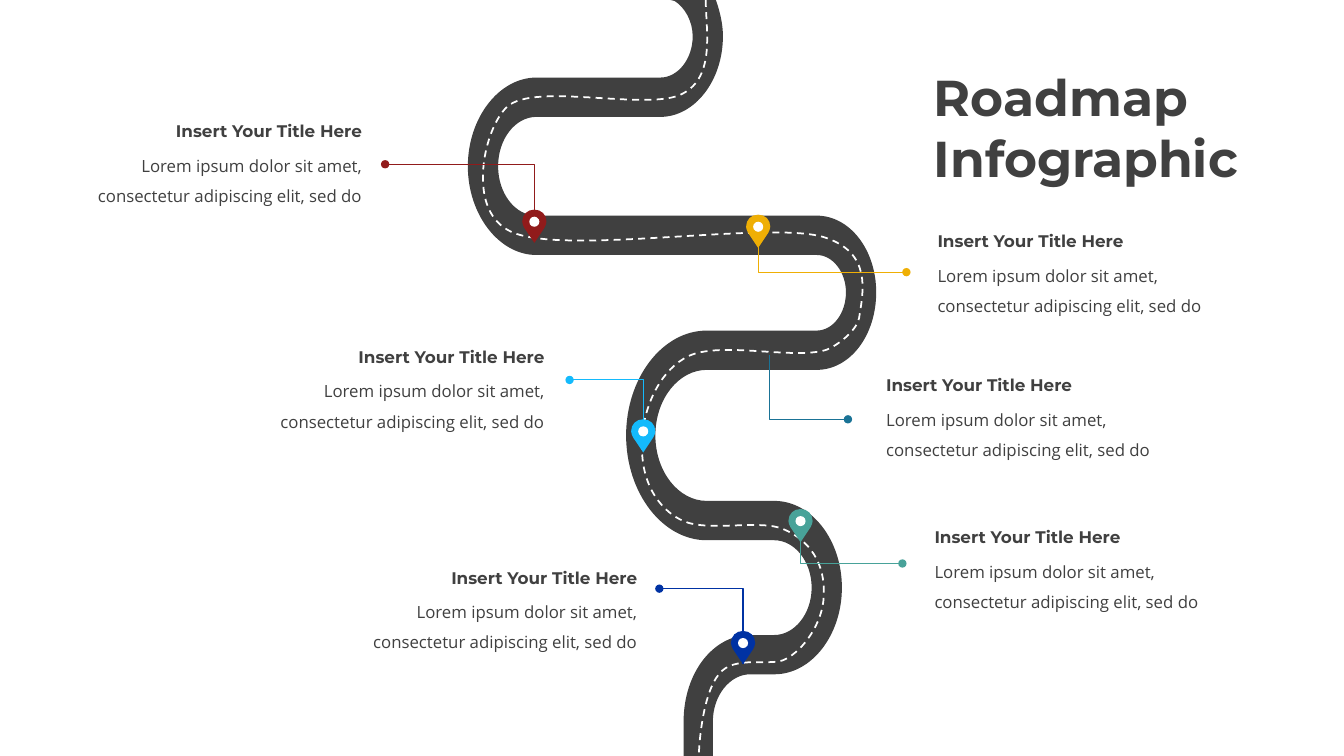
from lxml import etree
from pptx import Presentation
from pptx.dml.color import RGBColor
from pptx.enum.dml import MSO_LINE
from pptx.enum.shapes import MSO_CONNECTOR, MSO_SHAPE
from pptx.enum.text import MSO_ANCHOR, MSO_AUTO_SIZE, PP_ALIGN
from pptx.oxml.ns import qn
from pptx.util import Inches, Pt

ELBOW, OVAL = MSO_CONNECTOR.ELBOW, MSO_SHAPE.OVAL
LEFT, RIGHT = PP_ALIGN.LEFT, PP_ALIGN.RIGHT
ASPHALT = RGBColor(0x40, 0x40, 0x40)
WHITE = RGBColor(0xFF, 0xFF, 0xFF)
NAVY = RGBColor(0x00, 0x32, 0xA3)
TEAL = RGBColor(0x48, 0xA2, 0x99)
PETROL = RGBColor(0x1A, 0x73, 0x96)
SKY = RGBColor(0x14, 0xBA, 0xFC)
AMBER = RGBColor(0xEF, 0xAF, 0x05)
MAROON = RGBColor(0x91, 0x1B, 0x1B)

HEADING = "Insert Your Title Here"
BODY = "Lorem ipsum dolor sit amet, consectetur adipiscing elit, sed do"

# Outlines in inches: a pair is a straight stretch, six numbers a cubic curve
ROAD = [
    (6.65, 0), (7.1, 0), (7.12, 0.06),
    (7.15, 0.16, 7.17, 0.26, 7.17, 0.36), (7.17, 0.8, 6.89, 1.16, 6.55, 1.16),
    (5.32, 1.16),
    (5.11, 1.16, 4.94, 1.38, 4.94, 1.65), (4.94, 1.92, 5.11, 2.14, 5.32, 2.14),
    (8.1, 2.14),
    (8.43, 2.14, 8.69, 2.48, 8.69, 2.9), (8.69, 3.33, 8.43, 3.67, 8.1, 3.67),
    (7.01, 3.67),
    (6.73, 3.67, 6.5, 3.96, 6.5, 4.32), (6.5, 4.68, 6.73, 4.97, 7.01, 4.97),
    (7.68, 4.97),
    (8.05, 4.97, 8.35, 5.36, 8.35, 5.83), (8.35, 6.3, 8.05, 6.69, 7.68, 6.69),
    (7.44, 6.69), (7.24, 6.69, 7.07, 6.9, 7.07, 7.16),
    (7.07, 7.5), (6.78, 7.5), (6.78, 7.16),
    (6.78, 6.68, 7.07, 6.3, 7.44, 6.3), (7.68, 6.3),
    (7.88, 6.3, 8.05, 6.09, 8.05, 5.83), (8.05, 5.57, 7.88, 5.36, 7.68, 5.36),
    (7.01, 5.36),
    (6.57, 5.36, 6.21, 4.89, 6.21, 4.32), (6.21, 3.75, 6.57, 3.28, 7.01, 3.28),
    (8.1, 3.28),
    (8.26, 3.28, 8.39, 3.11, 8.39, 2.9), (8.39, 2.7, 8.26, 2.53, 8.1, 2.53),
    (5.32, 2.53),
    (4.95, 2.53, 4.64, 2.13, 4.64, 1.65), (4.64, 1.17, 4.95, 0.77, 5.32, 0.77),
    (6.55, 0.77),
    (6.72, 0.77, 6.87, 0.59, 6.87, 0.36), (6.87, 0.21, 6.79, 0.07, 6.69, 0.01),
]
CENTRE_LINE = [
    (7, 0),
    (7, 0.29, 7.1, 0.76, 6.77, 0.93), (6.44, 1.11, 5.3, 0.81, 5.03, 1.06),
    (4.9, 1.18, 4.79, 1.48, 4.79, 1.76), (4.79, 1.99, 4.86, 2.2, 5.07, 2.3),
    (5.59, 2.54, 7.59, 2.19, 8.16, 2.35),
    (8.66, 2.5, 8.56, 2.9, 8.52, 3.16), (8.49, 3.29, 8.3, 3.43, 8.2, 3.47),
    (7.86, 3.58, 7.08, 3.36, 6.78, 3.56), (6.53, 3.71, 6.38, 4.06, 6.37, 4.36),
    (6.34, 4.84, 6.59, 5.09, 6.78, 5.17), (7.03, 5.28, 7.54, 5.15, 7.77, 5.25),
    (8.03, 5.36, 8.19, 5.59, 8.17, 5.92), (8.16, 6.18, 7.97, 6.45, 7.79, 6.54),
    (7.65, 6.62, 7.28, 6.49, 7.13, 6.69), (6.98, 6.87, 6.93, 7.34, 6.93, 7.56),
]
# The pin is measured from its tip
PIN = [
    (0, 0), (-0.1, -0.15),
    (-0.11, -0.17, -0.12, -0.19, -0.12, -0.21),
    (-0.12, -0.28, -0.07, -0.33, 0, -0.33),
    (0.07, -0.33, 0.12, -0.28, 0.12, -0.21),
    (0.12, -0.19, 0.11, -0.17, 0.1, -0.15),
]
HOLE, HOLE_RISE = 0.1, 0.21

# Colour, pin x, pin tip y, leader start y, leader end, text corner, alignment
STOPS = [
    (NAVY, 7.37, 6.59, 6.59, (6.54, 5.84), (3.44, 5.48), RIGHT),
    (TEAL, 7.94, 5.38, 5.24, (8.95, 5.59), (9.17, 5.08), LEFT),
    (PETROL, 7.63, None, 3.52, (8.41, 4.16), (8.69, 3.57), LEFT),
    (SKY, 6.38, 4.49, 4.23, (5.65, 3.77), (2.52, 3.29), RIGHT),
    (AMBER, 7.52, 2.46, 2.31, (8.99, 2.7), (9.2, 2.14), LEFT),
    (MAROON, 5.3, 2.41, 2.11, (3.82, 1.63), (0.71, 1.05), RIGHT),
]


def draw_outline(page, outline, closed, left=0, top=0):
    """Draw straight stretches, then bend the curved ones into cubics."""
    corners = [(Inches(left + step[-2]), Inches(top + step[-1])) for step in outline]
    builder = page.shapes.build_freeform(*corners[0], scale=1.0)
    builder.add_line_segments(corners[1:], close=closed)
    shape = builder.convert_to_shape()
    shape.shadow.inherit = False
    trace = next(shape.element.iter(qn("a:path")))
    for node, step in zip(list(trace), outline):
        if len(step) == 6:
            node.tag = qn("a:cubicBezTo")
            end = node[0]
            for index in (0, 2):
                handle = etree.Element(qn("a:pt"))
                for axis, name in enumerate("xy"):
                    offset = Inches(step[index + axis] - step[4 + axis])
                    handle.set(name, str(int(end.get(name)) + offset))
                end.addprevious(handle)
    return shape


def format_span(span, font, size, bold):
    span.font.name, span.font.size, span.font.bold = font, Pt(size), bold
    span.font.color.rgb = ASPHALT


deck = Presentation()
deck.slide_width, deck.slide_height = Inches(13.33), Inches(7.5)
page = deck.slides.add_slide(deck.slide_layouts[5])

# Road with its dashed centre line
road = draw_outline(page, ROAD, True)
road.fill.solid()
road.fill.fore_color.rgb = ASPHALT
road.line.fill.background()

dashes = draw_outline(page, CENTRE_LINE, False)
dashes.fill.background()
dashes.line.color.rgb = WHITE
dashes.line.width = Pt(1.25)
dashes.line.dash_style = MSO_LINE.DASH

# Captions and leaders
for colour, x, tip, start, end, corner, align in STOPS:
    box = page.shapes.add_textbox(*map(Inches, (*corner, 2.98, 1.02)))
    frame = box.text_frame
    frame.word_wrap = True
    frame.text = HEADING + "\n" + BODY
    for para, font, bold in zip(frame.paragraphs, ("Montserrat", "Open Sans"), (True, False)):
        para.alignment = align
        para.line_spacing = 1.5
        para.space_before = Pt(3)
        format_span(para.runs[0], font, 12, bold)

    leader = page.shapes.add_connector(ELBOW, *map(Inches, (x, start, *end)))
    leader.line.color.rgb = colour
    leader.line.width = Pt(0.75)
    properties = leader.element.spPr
    bend = properties.find(qn("a:prstGeom")).find(qn("a:avLst"))
    etree.SubElement(bend, qn("a:gd"), name="adj1", fmla="val 0")
    etree.SubElement(properties.find(qn("a:ln")), qn("a:tailEnd"), type="oval")
    etree.SubElement(properties, qn("a:effectLst"))

# Pins on top of the leaders
for colour, x, tip, *rest in STOPS:
    if tip is None:
        continue
    pin = draw_outline(page, PIN, True, x, tip)
    hole = page.shapes.add_shape(OVAL, *map(Inches, (
        x - HOLE / 2, tip - HOLE_RISE - HOLE / 2, HOLE, HOLE)))
    hole.shadow.inherit = False
    for part, paint in ((pin, colour), (hole, WHITE)):
        part.fill.solid()
        part.fill.fore_color.rgb = paint
        part.line.fill.background()
    page.shapes.add_group_shape([pin, hole])

# Title
title = page.shapes.title
title.left, title.top, title.width, title.height = map(Inches, (9.16, 0.61, 4.1, 1.31))
title.text_frame.text = "Roadmap Infographic"
title.text_frame.word_wrap = True
title.text_frame.auto_size = MSO_AUTO_SIZE.NONE
title.text_frame.vertical_anchor = MSO_ANCHOR.TOP
title_para = title.text_frame.paragraphs[0]
title_para.alignment = LEFT
format_span(title_para.runs[0], "Montserrat", 36, True)

deck.save("out.pptx")
